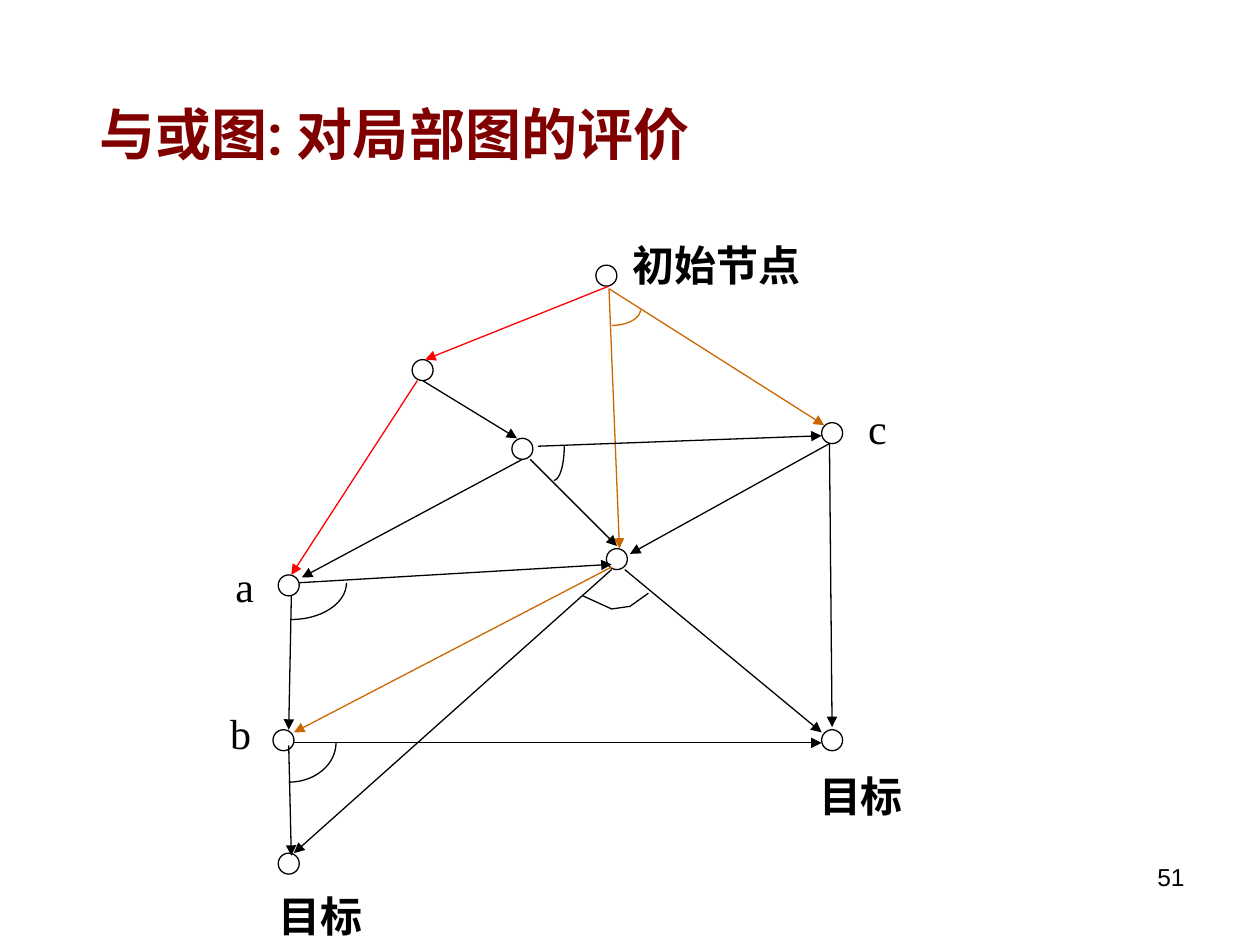
from math import cos, pi, sin
from typing import NamedTuple

from lxml.etree import SubElement
from pptx import Presentation
from pptx.dml.color import RGBColor
from pptx.enum.shapes import MSO_CONNECTOR, MSO_SHAPE
from pptx.enum.text import MSO_ANCHOR as Anchor, PP_ALIGN as Align
from pptx.oxml.ns import qn
from pptx.util import Pt

PX = 9525
BLACK = RGBColor(0x00, 0x00, 0x00)
RED = RGBColor(0xFF, 0x00, 0x00)
ORANGE = RGBColor(0xCC, 0x66, 0x00)
MAROON = RGBColor(0x80, 0x00, 0x00)
SERIF = "Times New Roman"
NODE_SIZE = 16
LINE_WIDTH = Pt(0.75)
ARC_STEPS = 16


class Edge(NamedTuple):
    x1: int
    y1: int
    x2: int
    y2: int
    color: RGBColor = BLACK


class AndArc(NamedTuple):
    """Quarter ellipse centred on its left top corner."""
    left: int
    top: int
    width: int
    height: int
    color: RGBColor = BLACK


class Label(NamedTuple):
    text: str
    left: int
    top: int
    width: int
    height: int = 48
    size: int = 24
    font: str = SERIF
    color: RGBColor = BLACK
    bold: bool = False
    align: Align = Align.LEFT
    anchor: Anchor = Anchor.TOP
    wrap: bool = True
    spacing: float = 1.0


NODES = [(454, 202), (314, 274), (390, 334), (462, 418), (626, 322),
         (212, 438), (208, 556), (626, 556), (212, 650)]

EDGES = [
    Edge(464, 218, 324, 274, RED),
    Edge(464, 220, 472, 418, ORANGE),
    Edge(464, 220, 628, 324, ORANGE),
    Edge(318, 290, 222, 438, RED),
    Edge(322, 290, 394, 334),
    Edge(404, 350, 470, 416),
    Edge(410, 340, 626, 332),
    Edge(228, 444, 466, 430),
    Edge(222, 454, 220, 556),
    Edge(632, 338, 480, 422),
    Edge(632, 338, 634, 554),
    Edge(466, 432, 224, 558, ORANGE),
    Edge(466, 434, 224, 650),
    Edge(476, 434, 626, 558),
    Edge(224, 566, 626, 566),
    Edge(220, 568, 222, 652),
    Edge(398, 350, 230, 440),
]

AND_ARCS = [
    AndArc(466, 236, 22, 12, ORANGE),
    AndArc(422, 340, 8, 26),
    AndArc(222, 444, 42, 28),
    AndArc(220, 566, 36, 30),
]
AND_BRACKET = [(444, 454), (466, 464), (480, 462), (494, 452)]

CAPTION = dict(bold=True, align=Align.CENTER, anchor=Anchor.MIDDLE, wrap=False)
LABELS = [
    Label("51", 688, 656, 224, size=14, font="Arial", align=Align.RIGHT, spacing=0.8),
    Label("与或图: 对局部图的评价", 66, 68, 748, 67, size=32, font="Roboto",
          color=MAROON, bold=True, anchor=Anchor.MIDDLE),
    Label("目标", 202, 674, 84, **CAPTION),
    Label("目标", 614, 582, 84, **CAPTION),
    Label("初始节点", 472, 178, 148, **CAPTION),
    Label("a", 170, 422, 56),
    Label("b", 166, 534, 56),
    Label("c", 652, 302, 56),
]


def draw_node(shapes, left: int, top: int) -> None:
    node = shapes.add_shape(MSO_SHAPE.OVAL, left * PX, top * PX,
                            NODE_SIZE * PX, NODE_SIZE * PX)
    node.shadow.inherit = False
    node.fill.background()
    node.line.color.rgb = BLACK
    node.line.width = LINE_WIDTH


def draw_edge(shapes, edge: Edge) -> None:
    arrow = shapes.add_connector(MSO_CONNECTOR.STRAIGHT, edge.x1 * PX, edge.y1 * PX,
                                 edge.x2 * PX, edge.y2 * PX)
    arrow.line.color.rgb = edge.color
    arrow.line.width = LINE_WIDTH
    properties = arrow._element.spPr
    SubElement(properties.find(qn("a:ln")), qn("a:tailEnd"), type="triangle")
    SubElement(properties, qn("a:effectLst"))


def draw_open_path(shapes, points: list[tuple[float, float]], color: RGBColor) -> None:
    emu = [(round(x * PX), round(y * PX)) for x, y in points]
    builder = shapes.build_freeform(*emu[0])
    builder.add_line_segments(emu[1:], close=False)
    outline = builder.convert_to_shape()
    outline.shadow.inherit = False
    outline.fill.background()
    outline.line.color.rgb = color
    outline.line.width = LINE_WIDTH


def draw_and_arc(shapes, arc: AndArc) -> None:
    angles = [pi / 2 * (1 - step / ARC_STEPS) for step in range(ARC_STEPS + 1)]
    points = [(arc.left + arc.width * cos(a), arc.top + arc.height * sin(a))
              for a in angles]
    draw_open_path(shapes, points, arc.color)


def draw_label(shapes, label: Label) -> None:
    box = shapes.add_textbox(label.left * PX, label.top * PX,
                             label.width * PX, label.height * PX)
    frame = box.text_frame
    frame.word_wrap = label.wrap
    frame.vertical_anchor = label.anchor
    paragraph = frame.paragraphs[0]
    paragraph.alignment = label.align
    paragraph.line_spacing = label.spacing
    run = paragraph.add_run()
    run.text = label.text
    run.font.name = label.font
    run.font.size = Pt(label.size)
    run.font.bold = label.bold
    run.font.color.rgb = label.color


def main() -> None:
    deck = Presentation()
    deck.slide_width, deck.slide_height = 960 * PX, 720 * PX
    shapes = deck.slides.add_slide(deck.slide_layouts[6]).shapes
    for left, top in NODES:
        draw_node(shapes, left, top)
    for edge in EDGES:
        draw_edge(shapes, edge)
    for arc in AND_ARCS:
        draw_and_arc(shapes, arc)
    draw_open_path(shapes, AND_BRACKET, BLACK)
    for label in LABELS:
        draw_label(shapes, label)
    deck.save("out.pptx")


if __name__ == "__main__":
    main()
